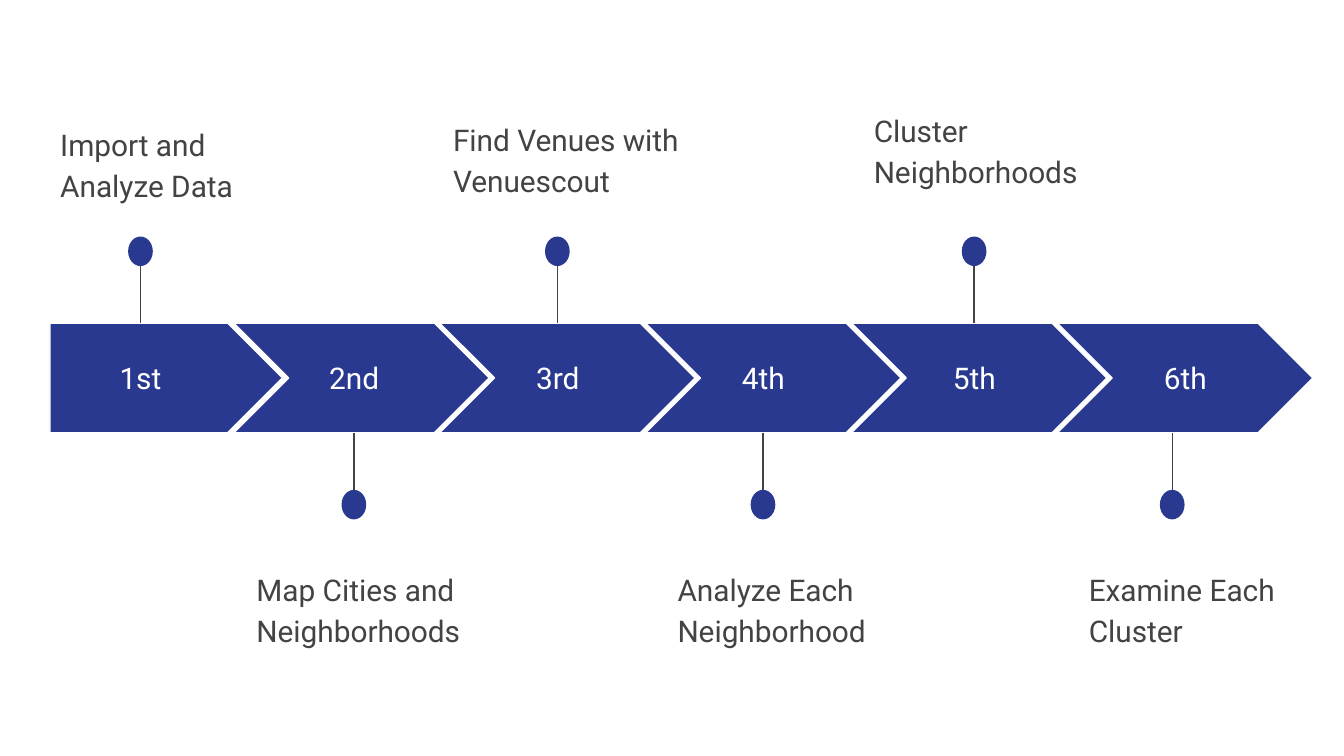
"""Builds a six-step process timeline slide."""
from lxml import etree
from pptx import Presentation
from pptx.dml.color import RGBColor
from pptx.enum.shapes import MSO_CONNECTOR, MSO_SHAPE
from pptx.enum.text import MSO_ANCHOR, PP_ALIGN
from pptx.oxml.ns import qn
from pptx.util import Inches, Pt

PENTAGON, CHEVRON, OVAL = MSO_SHAPE.PENTAGON, MSO_SHAPE.CHEVRON, MSO_SHAPE.OVAL
STRAIGHT = MSO_CONNECTOR.STRAIGHT
TOP, MIDDLE = MSO_ANCHOR.TOP, MSO_ANCHOR.MIDDLE
LEFT, CENTER = PP_ALIGN.LEFT, PP_ALIGN.CENTER

COLS, ROWS = 100, 56.25
BAR_TOP, BAR_H = 24.05, 8.15
FIRST_STEP, STEP_PITCH = 17.4, 15.32
DOT_W, DOT_H = 1.84, 2.2

STEPS = [
    ("1st", 10.45, 10.45, "Import and Analyze Data", (3.5, 8, 18.3, 8.2)),
    ("2nd", 26.35, 26.33, "Map Cities and Neighborhoods", (18.1, 41.14, 20.1, 9.9)),
    ("3rd", 41.5, 41.47, "Find Venues with Venuescout", (32.73, 7.64, 19, 8.2)),
    ("4th", 56.8, 56.77, "Analyze Each Neighborhood", (49.43, 41.14, 17, 9.9)),
    ("5th", 72.5, 72.48, "Cluster Neighborhoods", (64.03, 7, 17.3, 8.2)),
    ("6th", 88.2, 87.22, "Examine Each Cluster", (80.03, 41.14, 17, 9.9)),
]


def color(value):
    """Turn a hex string into a colour."""
    return RGBColor.from_string(value)


class Timeline:
    """Holds the style and the current slide, measured in grid columns and rows."""

    FONT, SIZE = "Roboto", 16
    BLUE, GRAY, WHITE = "2A3990", "434343", "FFFFFF"

    def __init__(self, prs):
        """Add a blank slide to the presentation."""
        self.col = prs.slide_width / COLS
        self.row = prs.slide_height / ROWS
        self.s = prs.slides.add_slide(prs.slide_layouts[6])

    def place(self, x, y):
        """Convert grid columns and rows to slide lengths."""
        return round(x * self.col), round(y * self.row)

    def shape(self, kind, x, y, w, h, outline=None):
        """Add a blue shape with an optional outline."""
        sp = self.s.shapes.add_shape(kind, *self.place(x, y), *self.place(w, h))
        sp.shadow.inherit = False
        sp.fill.solid()
        sp.fill.fore_color.rgb = color(self.BLUE)
        if outline:
            sp.line.color.rgb = color(outline)
            sp.line.width = Pt(0.75)
        else:
            sp.line.fill.background()

    def text(self, text, x, y, w, h, ink, align=LEFT, anchor=TOP, spacing=1.0):
        """Add a wrapped text box."""
        sp = self.s.shapes.add_textbox(*self.place(x, y), *self.place(w, h))
        tf = sp.text_frame
        tf.word_wrap = True
        tf.vertical_anchor = anchor
        tf.margin_left = tf.margin_right = Inches(0.1)
        tf.margin_top = tf.margin_bottom = Inches(0.1)
        p = tf.paragraphs[0]
        p.text = text
        p.alignment = align
        p.line_spacing = spacing
        p.font.name = self.FONT
        p.font.size = Pt(self.SIZE)
        p.font.color.rgb = color(ink)

    def pin(self, x, above):
        """Add a dot on a stem above or below the bar."""
        bar_y = BAR_TOP if above else BAR_TOP + BAR_H
        tip_y = 18 if above else 38.2
        stem = self.s.shapes.add_connector(
            STRAIGHT, *self.place(x, tip_y), *self.place(x, bar_y))
        stem.line.color.rgb = color(self.GRAY)
        stem.line.width = Pt(0.75)
        etree.SubElement(stem._element.spPr, qn("a:effectLst"))
        dot_y = 17.6 if above else 36.45
        self.shape(OVAL, x - DOT_W / 2, dot_y, DOT_W, DOT_H)

    def step(self, i, label, label_x, pin_x, caption, box):
        """Add one arrow with its label, pin and caption."""
        if i == 0:
            self.shape(PENTAGON, 3.72, BAR_TOP, 17.3, BAR_H, self.WHITE)
        else:
            x = FIRST_STEP + (i - 1) * STEP_PITCH
            self.shape(CHEVRON, x, BAR_TOP, 19, BAR_H, self.WHITE)
        self.text(label, label_x - 6.1, 25.55, 12.2, 5.1,
                  self.WHITE, CENTER, MIDDLE)
        self.pin(pin_x, above=i % 2 == 0)
        self.text(caption, *box, self.GRAY, spacing=1.15)


def main():
    """Build and save the slide."""
    prs = Presentation()
    prs.slide_width = Inches(10)
    prs.slide_height = prs.slide_width * 9 // 16
    timeline = Timeline(prs)
    for i, step in enumerate(STEPS):
        timeline.step(i, *step)
    prs.save("out.pptx")


if __name__ == "__main__":
    main()
